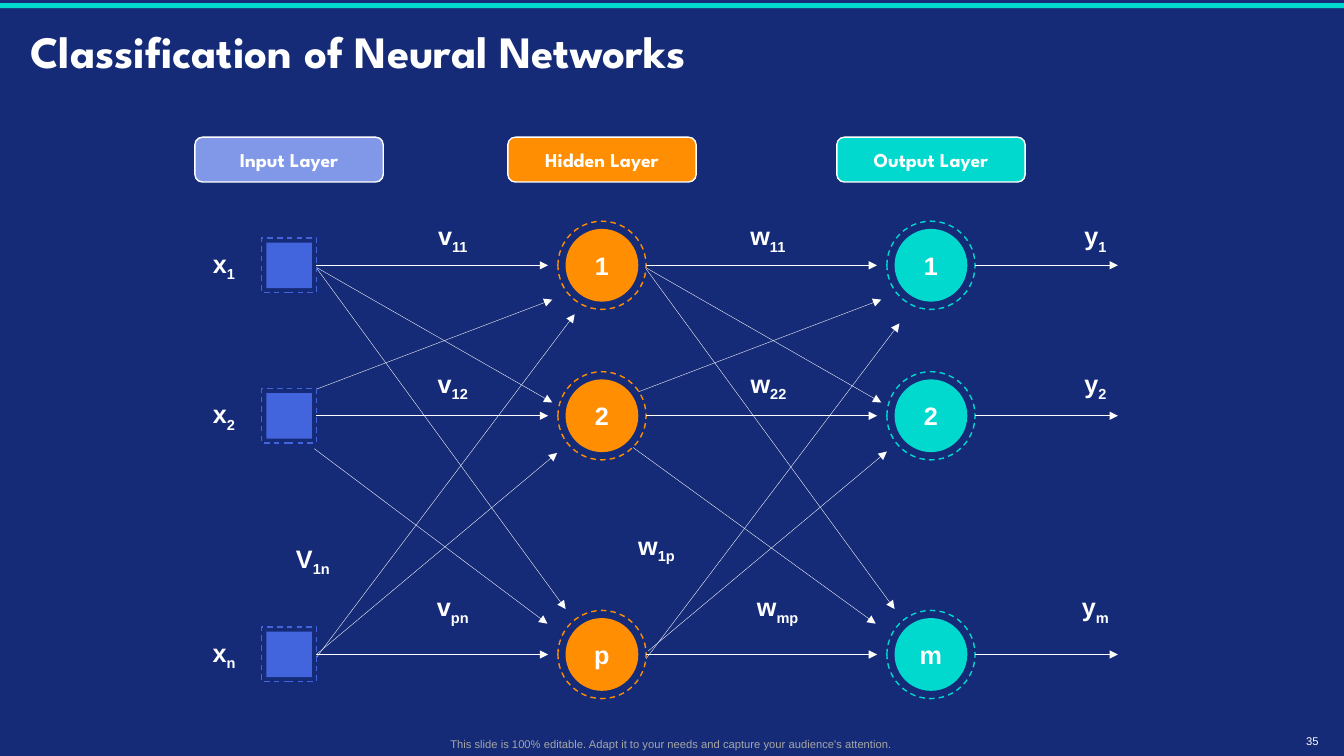
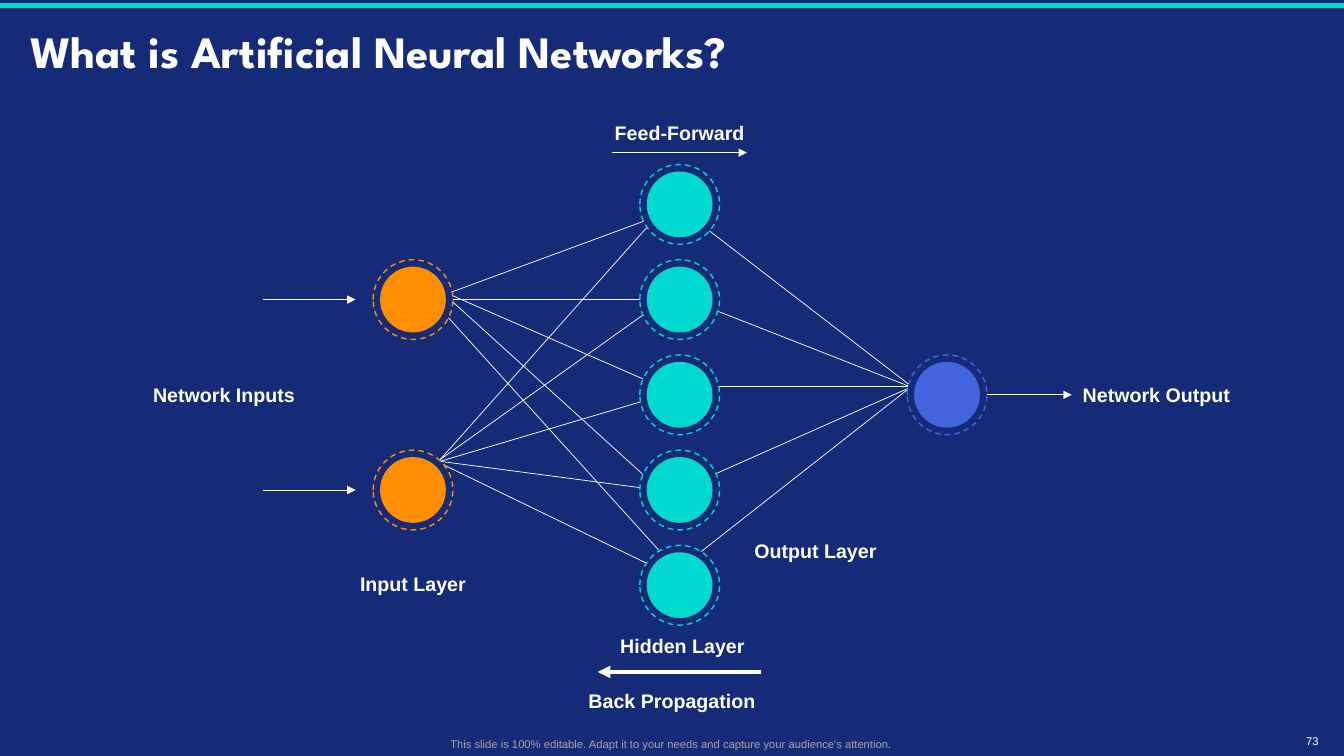
import pptx
import pptx.dml.color
import pptx.enum.dml
import pptx.enum.shapes
import pptx.enum.text
import pptx.oxml
import pptx.oxml.ns
import pptx.util

Pt = pptx.util.Pt
SHAPE = pptx.enum.shapes.MSO_SHAPE
NAVY, TEAL, ORANGE, BLUE, LILAC = "152B77", "01D9CE", "FF8E02", "4265DE", "8198E9"
WHITE, GREY = "FFFFFF", "A6A6A6"
BODY, DISPLAY = "Arial", "League Spartan"
FOOTER = "This slide is 100% editable. Adapt it to your needs and capture your audience's attention."


def paint(fill, colour):
    fill.solid()
    fill.fore_color.rgb = pptx.dml.color.RGBColor.from_string(colour)


def write(box, text, sub="", size=18, font=BODY, colour=WHITE, bold=True, align="CENTER", spacing=1.0):
    frame = box.text_frame
    frame.word_wrap = True
    frame.vertical_anchor = pptx.enum.text.MSO_ANCHOR.MIDDLE
    frame.margin_left = frame.margin_right = frame.margin_top = frame.margin_bottom = 0
    para = frame.paragraphs[0]
    para.alignment = getattr(pptx.enum.text.PP_ALIGN, align)
    para.line_spacing = spacing
    for part, baseline in ((text, None), (sub, "-25000")):
        if part:
            span = para.add_run()
            span.text = part
            span.font.size = Pt(size)
            span.font.name = font
            span.font.bold = bold
            paint(span.font.fill, colour)
            if baseline:
                span.font._element.set("baseline", baseline)


rows = (189.5, 297, 467.5)
input_x, hidden_x, output_x = 206.5, 430, 665
square, ring = 39, 63
layer_gap = output_x - hidden_x

classes_crossings = [
    (463, 465, 633.5, 322.5, 0.25, True),
    (458.5, 474.5, 642.5, 231, 0.25, True),
    (452, 319.5, 625.5, 445.5, 0.25, True),
    (224.5, 320.5, 391, 445.5, 0.25, True),
    (223, 470, 398, 323.5, 0.25, True),
    (219, 479, 410.5, 224.5, 0.25, True),
]
for shift in (0, layer_gap):
    for x1, y1, x2, y2 in ((211.5, 283.5, 394.5, 214), (221, 184.5, 404, 435), (222.5, 189, 394.5, 287.5)):
        classes_crossings.append((x1 + shift, y1, x2 + shift, y2, 0.25, True))

classes_nodes, classes_links, classes_labels = [], [], []
for y, hidden, output in zip(rows, "12p", "12m"):
    classes_nodes += [
        (SHAPE.RECTANGLE, input_x, y, square, 32.5, BLUE, ""),
        (SHAPE.OVAL, hidden_x, y, ring, 52, ORANGE, hidden),
        (SHAPE.OVAL, output_x, y, ring, 52, TEAL, output),
    ]
    classes_links += [
        (input_x + square / 2, y, 391.5, y, 0.5, True),
        (hidden_x + ring / 2, y, 626.5, y, 0.5, True),
        (output_x + ring / 2, y, 798.5, y, 0.5, True),
    ]
for y, subscript in zip(rows, "12n"):
    classes_labels.append((160, y, "x", subscript, 18))
for y, v_sub, w_sub, w_x, y_sub in (
    (170, "11", "11", 548.5, "1"),
    (275, "12", "22", 549, "2"),
    (435, "pn", "mp", 555.5, "m"),
):
    classes_labels += [(323.5, y, "v", v_sub, 18), (w_x, y, "w", w_sub, 18), (782.5, y, "y", y_sub, 18)]
classes_labels += [(223.5, 400.5, "V", "1n", 18), (469, 391, "w", "1p", 18)]
classes_pills = [
    (input_x, LILAC, "Input Layer"),
    (hidden_x, ORANGE, "Hidden Layer"),
    (output_x, TEAL, "Output Layer"),
]

levels = [146 + 68 * step for step in range(5)]
network_crossings = [
    (x1, y1, x2, y2, 0.5, False)
    for x1, y1, x2, y2 in (
        (314.5, 220.5, 476, 399),
        (304.5, 198.5, 471.5, 350),
        (320.5, 210, 479.5, 279.5),
        (318, 214, 461.5, 214),
        (308, 214, 479, 151),
        (306.5, 327, 472.5, 407.5),
        (283.5, 325.5, 481.5, 351.5),
        (287.5, 337.5, 478, 281),
        (301.5, 337.5, 463.5, 222),
        (308, 335.5, 462, 162.5),
        (487.5, 404.5, 655, 273),
        (511, 338.5, 657.5, 273.5),
        (509, 276, 669, 276),
        (475, 207.5, 689, 291.5),
        (501, 160.5, 683.5, 301),
    )
]
network_links = [
    (188, levels[1], 254, levels[1], 0.5, True),
    (188, levels[3], 254, levels[3], 0.5, True),
    (705, levels[2], 765.5, levels[2], 0.5, True),
    (437, 109, 533.5, 109, 0.5, True),
    (543.5, 480, 427, 480, 3, True),
]
network_nodes = [
    (SHAPE.OVAL, x, y, 57, 47, colour, "")
    for x, colour, heights in (
        (295, ORANGE, levels[1:4:2]),
        (485.5, TEAL, levels),
        (676.5, BLUE, levels[2:3]),
    )
    for y in heights
]
network_labels = [
    (485.5, 94.5, "Feed-Forward", "", 14),
    (826, 282, "Network Output", "", 14),
    (295, 417, "Input Layer", "", 14),
    (160, 282, "Network Inputs", "", 14),
    (487.5, 461.5, "Hidden Layer", "", 14),
    (480, 500.5, "Back Propagation", "", 14),
    (582.5, 393, "Output Layer", "", 14),
]

deck = pptx.Presentation()
deck.slide_width, deck.slide_height = Pt(960), Pt(540)
paint(deck.slide_master.background.fill, NAVY)

for title, number, crossings, nodes, links, labels, pills in (
    ("Classification of Neural Networks", "35", classes_crossings, classes_nodes,
     classes_links, classes_labels, classes_pills),
    ("What is Artificial Neural Networks?", "73", network_crossings, network_nodes,
     network_links, network_labels, []),
):
    page = deck.slides.add_slide(deck.slide_layouts[6])
    band = page.shapes.add_shape(SHAPE.RECTANGLE, 0, Pt(2.2), Pt(960), Pt(3.6))
    band.shadow.inherit = False
    paint(band.fill, TEAL)
    band.line.fill.background()

    heading = page.shapes.add_textbox(Pt(21.5), Pt(7), Pt(917), Pt(63.5))
    write(heading, title, size=32, font=DISPLAY, align="LEFT", spacing=0.9)

    joints = {}
    for strokes, stroke_nodes in ((crossings, nodes), (links, [])):
        for x1, y1, x2, y2, width, arrow in strokes:
            connector = page.shapes.add_connector(
                pptx.enum.shapes.MSO_CONNECTOR.STRAIGHT, Pt(x1), Pt(y1), Pt(x2), Pt(y2))
            if (x1, y1) in joints:
                connector.begin_connect(joints[x1, y1], 3)
            paint(connector.line.fill, WHITE)
            connector.line.width = Pt(width)
            if arrow:
                tail = pptx.oxml.parse_xml('<a:tailEnd %s type="triangle"/>' % pptx.oxml.ns.nsdecls("a"))
                connector.line._get_or_add_ln().append(tail)
            effects = pptx.oxml.parse_xml("<a:effectLst %s/>" % pptx.oxml.ns.nsdecls("a"))
            connector._element.spPr.append(effects)

        for kind, x, y, outer, inner, colour, text in stroke_nodes:
            for size, fill in ((outer, NAVY), (inner, colour)):
                node = page.shapes.add_shape(kind, Pt(x - size / 2), Pt(y - size / 2), Pt(size), Pt(size))
                node.shadow.inherit = False
                paint(node.fill, fill)
                if size == outer:
                    paint(node.line.fill, colour)
                    node.line.width = Pt(1)
                    node.line.dash_style = pptx.enum.dml.MSO_LINE.DASH
                    if kind == SHAPE.RECTANGLE:
                        joints[x + size / 2, y] = node
                else:
                    node.line.fill.background()
                    if text:
                        write(node, text)

    for x, y, text, subscript, size in labels:
        width = 50 if subscript else 140
        box = page.shapes.add_textbox(Pt(x - width / 2), Pt(y - 14), Pt(width), Pt(28))
        write(box, text, sub=subscript, size=size)

    for x, colour, text in pills:
        pill = page.shapes.add_shape(SHAPE.ROUNDED_RECTANGLE, Pt(x - 67.25), Pt(98), Pt(134.5), Pt(32))
        pill.shadow.inherit = False
        paint(pill.fill, colour)
        paint(pill.line.fill, WHITE)
        pill.line.width = Pt(1)
        write(pill, text, size=14, font=DISPLAY)

    footer = page.shapes.add_textbox(Pt(44.5), Pt(523), Pt(870), Pt(17))
    write(footer, FOOTER, size=8, colour=GREY, bold=False)
    counter = page.shapes.add_textbox(Pt(923), Pt(524), Pt(29), Pt(10))
    write(counter, number, size=8, bold=False)

deck.save("out.pptx")
